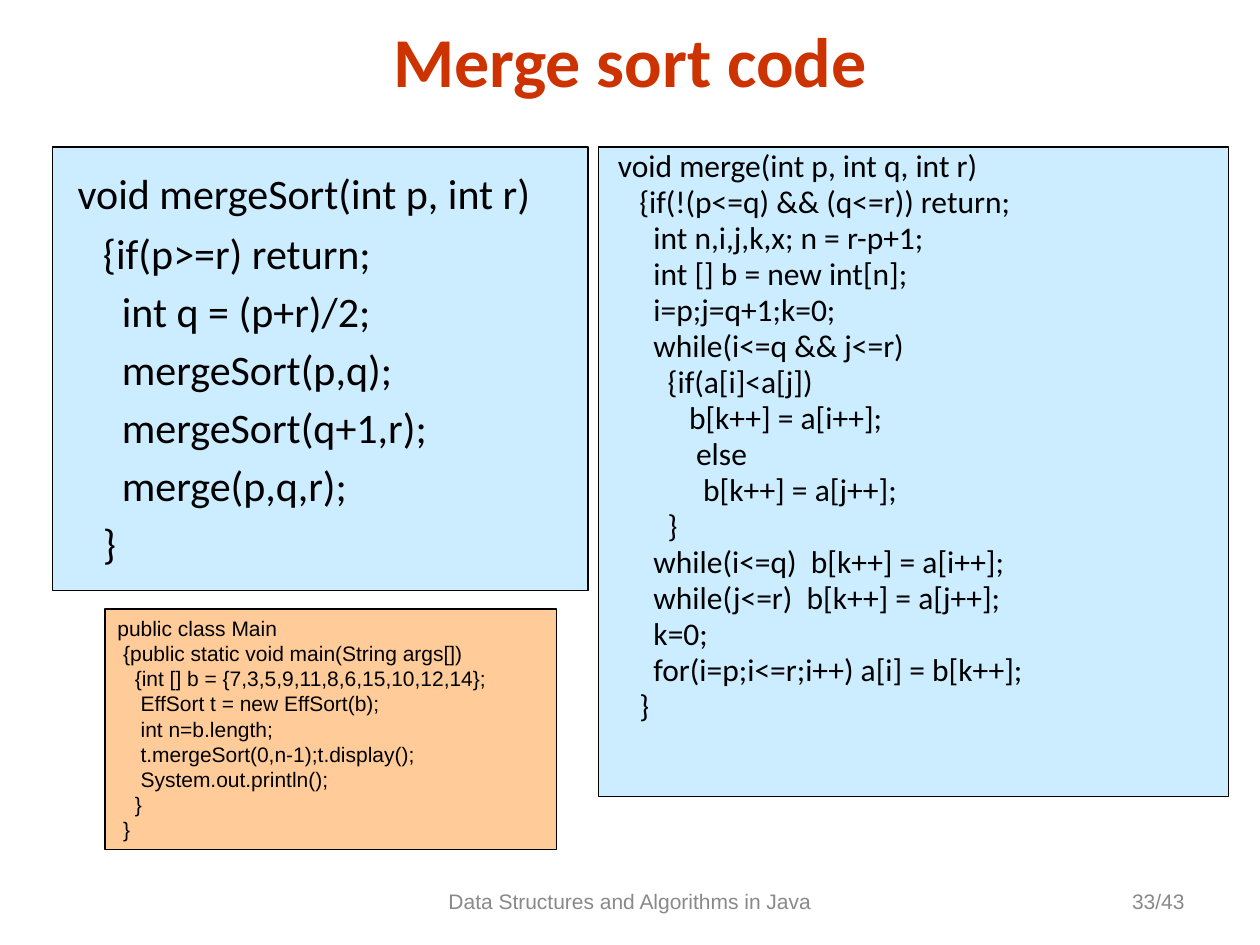
import pptx
import pptx.dml.color
import pptx.enum.shapes
import pptx.enum.text
import pptx.util

WIDTH, HEIGHT = 10, 7.5
COLUMNS, ROWS = 24, 18
BLUE, ORANGE, BLACK, GRAY, RED = "CCECFF", "FFCC99", "000000", "898989", "CC3300"
ALIGN = pptx.enum.text.PP_ALIGN
ANCHOR = pptx.enum.text.MSO_ANCHOR

MERGE_SORT = """ void mergeSort(int p, int r)
    {if(p>=r) return;
      int q = (p+r)/2;
      mergeSort(p,q);
      mergeSort(q+1,r);
      merge(p,q,r);
    }"""

MERGE = """ void merge(int p, int q, int r)
    {if(!(p<=q) && (q<=r)) return;
      int n,i,j,k,x; n = r-p+1;
      int [] b = new int[n];
      i=p;j=q+1;k=0;
      while(i<=q && j<=r)
        {if(a[i]<a[j])
           b[k++] = a[i++];
            else
             b[k++] = a[j++];
        }
      while(i<=q)  b[k++] = a[i++];
      while(j<=r)  b[k++] = a[j++];
      k=0;
      for(i=p;i<=r;i++) a[i] = b[k++];
    }"""

MAIN_CLASS = """public class Main
 {public static void main(String args[])
   {int [] b = {7,3,5,9,11,8,6,15,10,12,14};
    EffSort t = new EffSort(b);
    int n=b.length;
    t.mergeSort(0,n-1);t.display();
    System.out.println();
   }
 }"""


def color(value):
    return pptx.dml.color.RGBColor.from_string(value)


def grid(column, row, columns, rows):
    cell_width, cell_height = WIDTH / COLUMNS, HEIGHT / ROWS
    lengths = (column * cell_width, row * cell_height,
               columns * cell_width, rows * cell_height)
    return [pptx.util.Inches(length) for length in lengths]


def write(shape, text, font, size, text_color, align, anchor):
    frame = shape.text_frame
    frame.text = text
    frame.word_wrap = True
    frame.auto_size = pptx.enum.text.MSO_AUTO_SIZE.NONE
    frame.vertical_anchor = anchor
    for paragraph in frame.paragraphs:
        paragraph.alignment = align
        for run in paragraph.runs:
            run.font.name = font
            run.font.size = pptx.util.Pt(size)
            run.font.color.rgb = color(text_color)


def add_label(slide, place, text, font, size, text_color, align):
    label = slide.shapes.add_textbox(*grid(*place))
    write(label, text, font, size, text_color, align, ANCHOR.MIDDLE)
    return label


def add_code(slide, place, code, fill, font, size, before=0, line_spacing=1.0):
    box = slide.shapes.add_shape(
        pptx.enum.shapes.MSO_SHAPE.RECTANGLE, *grid(*place))
    box.shadow.inherit = False
    box.fill.solid()
    box.fill.fore_color.rgb = color(fill)
    box.line.color.rgb = color(BLACK)
    box.line.width = pptx.util.Pt(0.75)
    write(box, code, font, size, BLACK, ALIGN.LEFT, ANCHOR.TOP)
    for index, paragraph in enumerate(box.text_frame.paragraphs):
        paragraph.line_spacing = line_spacing
        paragraph.space_before = pptx.util.Pt(before if index else 0)
    return box


def enlarge_indent(box, size):
    paragraph = box.text_frame.paragraphs[0]
    code = paragraph.runs[0]
    font = code.font
    statement = paragraph.add_run()
    statement.text = code.text.lstrip()
    statement.font.name = font.name
    statement.font.size = font.size
    statement.font.color.rgb = font.color.rgb
    code.text = " "
    font.size = pptx.util.Pt(size)


def main():
    presentation = pptx.Presentation()
    presentation.slide_width = pptx.util.Inches(WIDTH)
    presentation.slide_height = pptx.util.Inches(HEIGHT)
    slide = presentation.slides.add_slide(presentation.slide_layouts[6])

    title = add_label(slide, (1.2, 0.2, 21.6, 1.85), "Merge sort code",
                      "Calibri", 40, RED, ALIGN.CENTER)
    title.text_frame.paragraphs[0].runs[0].font.bold = True

    add_code(slide, (11.4, 2.8, 12, 12.38), MERGE, BLUE, "Calibri", 18, 3.3, 0.8)
    add_code(slide, (2, 11.6, 8.6, 4.58), MAIN_CLASS, ORANGE, "Arial", 12)
    merge_sort = add_code(slide, (1, 2.8, 10.2, 8.45), MERGE_SORT, BLUE,
                          "Calibri", 24, 4.3)
    enlarge_indent(merge_sort, 32)

    add_label(slide, (7.6, 16.68, 8.8, 0.96),
              "Data Structures and Algorithms in Java",
              "Arial", 12, GRAY, ALIGN.CENTER)
    add_label(slide, (17.2, 16.68, 5.6, 0.96), "33/43",
              "Arial", 12, GRAY, ALIGN.RIGHT)
    presentation.save("out.pptx")


if __name__ == "__main__":
    main()
